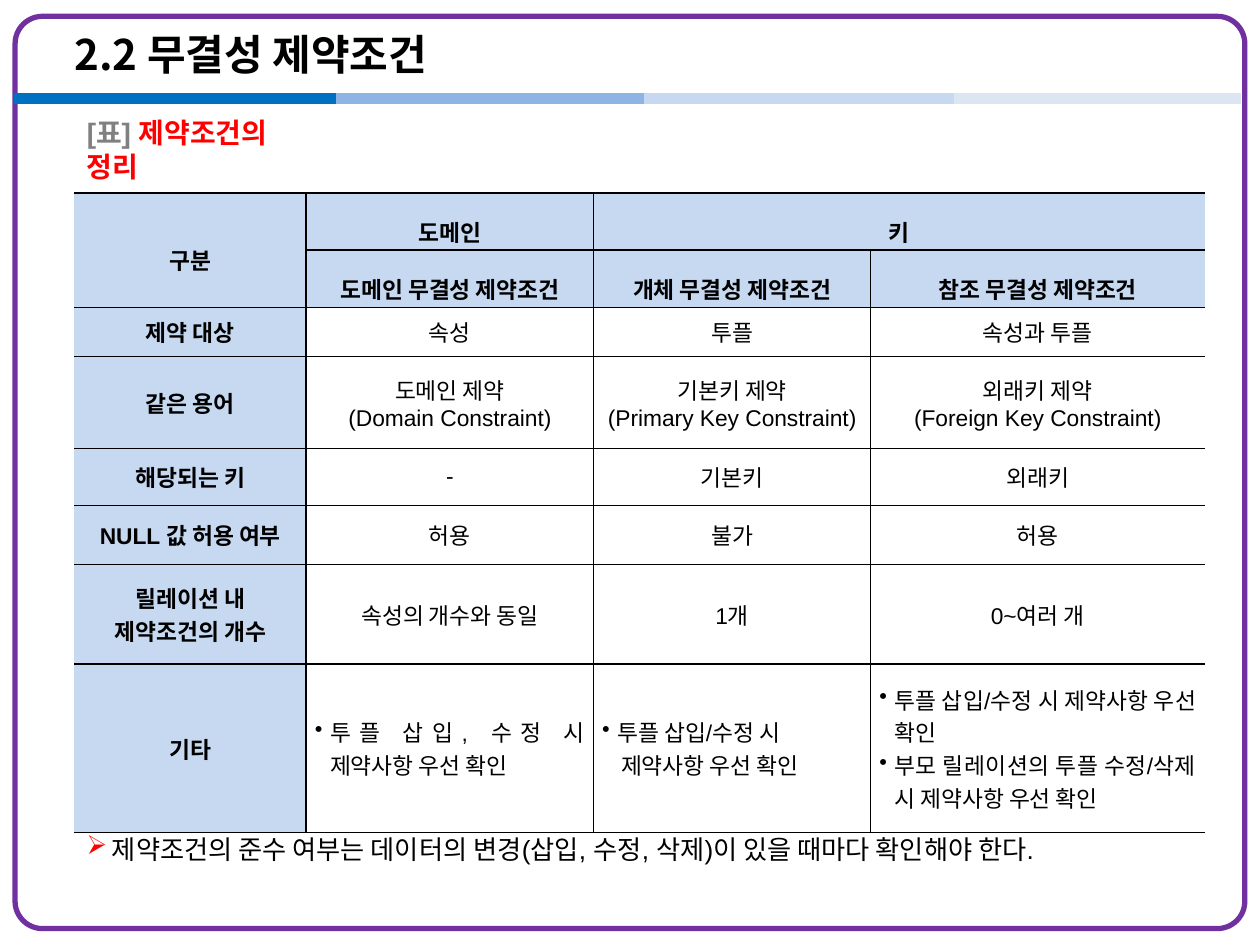
from lxml.etree import SubElement
from pptx import Presentation
from pptx.dml.color import RGBColor
from pptx.enum.shapes import MSO_CONNECTOR as Connector, MSO_SHAPE as Shape
from pptx.enum.text import MSO_ANCHOR as Anchor, MSO_AUTO_SIZE as AutoSize, PP_ALIGN as Align
from pptx.oxml import parse_xml
from pptx.oxml.ns import nsdecls, qn
from pptx.util import Inches, Pt

COLORS = {"frame": "7030A0", "blue": "0070C0", "mid": "8EB4E3", "pale": "C6D9F1",
          "faint": "DCE6F2", "ink": "000000", "gray": "808080", "red": "FF0000"}
KOREAN, LATIN = "Noto Sans CJK KR", "Arial"
RULES = [("blue", 0.11, 2.67), ("mid", 2.67, 5.23), ("pale", 5.11, 7.67), ("faint", 7.57, 9.85)]
COLUMN_WIDTHS = [1.84, 2.28, 2.2, 2.65]
ROW_HEIGHTS = [0.36, 0.36, 0.39, 0.73, 0.45, 0.47, 0.79, 1.2]
HEADER_ROWS = 2
ROWS = [
    ["구분", "도메인", "키", ""],
    ["", "도메인 무결성 제약조건", "개체 무결성 제약조건", "참조 무결성 제약조건"],
    ["제약 대상", "속성", "투플", "속성과 투플"],
    ["같은 용어", "도메인 제약\n(Domain Constraint)", "기본키 제약\n(Primary Key Constraint)",
     "외래키 제약\n(Foreign Key Constraint)"],
    ["해당되는 키", "-", "기본키", "외래키"],
    ["NULL 값 허용 여부", "허용", "불가", "허용"],
    ["릴레이션 내\n제약조건의 개수", "속성의 개수와 동일", "1개", "0~여러 개"],
    ["기타", "•투플 삽입, 수정 시 제약사항 우선 확인", "•투플 삽입/수정 시\n제약사항 우선 확인",
     "•투플 삽입/수정 시 제약사항 우선 확인\n•부모 릴레이션의 투플 수정/삭제 시 제약사항 우선 확인"],
]


def color(name):
    """Return a named colour."""
    return RGBColor.from_string(COLORS[name])


def set_values(target, values):
    """Set several attributes on an object."""
    for name, value in values.items():
        setattr(target, name, value)


def add_span(para, text, size, tint="ink", bold=False, font=LATIN):
    """Add a formatted run to a paragraph."""
    span = para.add_run()
    span.text = text
    set_values(span.font, {"size": Pt(size), "bold": bold, "name": font})
    span.font.color.rgb = color(tint)
    latin = span.font._element.find(qn("a:latin"))
    latin.addnext(parse_xml(f'<a:ea {nsdecls("a")} typeface="{KOREAN}"/>'))


def set_indent(para, left, first=0.0, bullet=None, tint=None):
    """Set the margin, first-line indent and bullet of a paragraph."""
    props = para._p.get_or_add_pPr()
    props.set("marL", str(Inches(left)))
    props.set("indent", str(Inches(first)))
    if tint:
        SubElement(SubElement(props, qn("a:buClr")), qn("a:srgbClr")).set("val", COLORS[tint])
    if bullet:
        SubElement(props, qn("a:buChar")).set("char", bullet)


def add_frame(slide):
    """Add the rounded page border."""
    frame = slide.shapes.add_shape(Shape.ROUNDED_RECTANGLE, Inches(0.12), Inches(0.13),
                                   Inches(9.76), Inches(7.24))
    frame.adjustments[0] = 0.03
    frame.shadow.inherit = False
    frame.fill.background()
    frame.line.color.rgb = color("frame")
    frame.line.width = Pt(3)


def add_rule(slide, tint, start, end):
    """Add one segment of the line under the title."""
    y = Inches(0.78)
    rule = slide.shapes.add_connector(Connector.STRAIGHT, Inches(start), y, Inches(end), y)
    rule.line.color.rgb = color(tint)
    rule.line.width = Pt(6)
    SubElement(rule._element.spPr, qn("a:effectLst"))


def set_title(slide, text):
    """Place and fill the title placeholder."""
    title = slide.shapes.title
    set_values(title, {"left": Inches(0.49), "top": Inches(0.13),
                       "width": Inches(8.27), "height": Inches(0.6)})
    set_values(title.text_frame, {"vertical_anchor": Anchor.MIDDLE, "auto_size": AutoSize.NONE})
    para = title.text_frame.paragraphs[0]
    para.alignment = Align.LEFT
    add_span(para, text, 24, bold=True, font=KOREAN)


def add_line(slide, top, width):
    """Add a one-line text box and return its paragraph."""
    box = slide.shapes.add_textbox(Inches(0.59), Inches(top), Inches(width), Inches(0.31))
    set_values(box.text_frame, {"word_wrap": False, "vertical_anchor": Anchor.MIDDLE})
    para = box.text_frame.paragraphs[0]
    para.alignment = Align.LEFT
    return para


def set_borders(cell, row, column):
    """Draw thin cell borders, leaving the table's outer sides open."""
    last = column + cell.span_width == len(COLUMN_WIDTHS) if cell.is_merge_origin \
        else column == len(COLUMN_WIDTHS) - 1
    sides = {"L": column > 0, "R": not last, "T": True, "B": True}
    for index, (side, drawn) in enumerate(sides.items()):
        paint = (f'<a:solidFill><a:srgbClr val="{COLORS["ink"]}"/></a:solidFill>'
                 if drawn else "<a:noFill/>")
        cell._tc.get_or_add_tcPr().insert(index, parse_xml(
            f'<a:ln{side} {nsdecls("a")} w="{Pt(1)}">{paint}</a:ln{side}>'))


def fill_cell(cell, text, row, column):
    """Write and format one table cell."""
    header = row < HEADER_ROWS
    label = header or column == 0
    listed = text.startswith("•")
    set_values(cell, {"vertical_anchor": Anchor.MIDDLE,
                      "margin_left": Inches(0.07), "margin_right": Inches(0.07),
                      "margin_top": Inches(0.02), "margin_bottom": Inches(0.02)})
    if label:
        cell.fill.solid()
        cell.fill.fore_color.rgb = color("pale")
    else:
        cell.fill.background()
    for index, line in enumerate(text.split("\n")):
        frame = cell.text_frame
        para = frame.add_paragraph() if index else frame.paragraphs[0]
        para.alignment = Align.JUSTIFY if listed else Align.CENTER
        if header:
            para.line_spacing = 1.6
        if line.startswith("•"):
            set_indent(para, 0.12, -0.12, "•")
        elif listed:
            set_indent(para, 0.15)
        add_span(para, line.lstrip("•"), 13, bold=label, font=KOREAN if header else LATIN)
    set_borders(cell, row, column)


def add_constraint_table(slide):
    """Add the table that compares the constraints."""
    table = slide.shapes.add_table(len(ROWS), len(COLUMN_WIDTHS), Inches(0.59), Inches(1.53),
                                   Inches(sum(COLUMN_WIDTHS)), Inches(sum(ROW_HEIGHTS))).table
    set_values(table, {"first_row": False, "horz_banding": False})
    for column, width in zip(table.columns, COLUMN_WIDTHS):
        column.width = Inches(width)
    for row, height in zip(table.rows, ROW_HEIGHTS):
        row.height = Inches(height)
    table.cell(0, 0).merge(table.cell(1, 0))
    table.cell(0, 2).merge(table.cell(0, 3))
    for row, texts in enumerate(ROWS):
        for column, text in enumerate(texts):
            cell = table.cell(row, column)
            if not cell.is_spanned:
                fill_cell(cell, text, row, column)


def main():
    """Build and save the slide."""
    deck = Presentation()
    set_values(deck, {"slide_width": Inches(10), "slide_height": Inches(7.5)})
    slide = deck.slides.add_slide(deck.slide_layouts[5])
    add_frame(slide)
    for rule in RULES:
        add_rule(slide, *rule)
    set_title(slide, "2.2 무결성 제약조건")
    add_constraint_table(slide)
    caption = add_line(slide, 1.03, 2.05)
    add_span(caption, "[표] ", 16, "gray", bold=True)
    add_span(caption, "제약조건의 정리", 16, "red", bold=True)
    remark = add_line(slide, 6.58, 8.9)
    set_indent(remark, 0.2, -0.2, "➢", "red")
    add_span(remark, "제약조건의 준수 여부는 데이터의 변경(삽입, 수정, 삭제)이 있을 때마다 확인해야 한다.", 15)
    deck.save("out.pptx")


if __name__ == "__main__":
    main()
